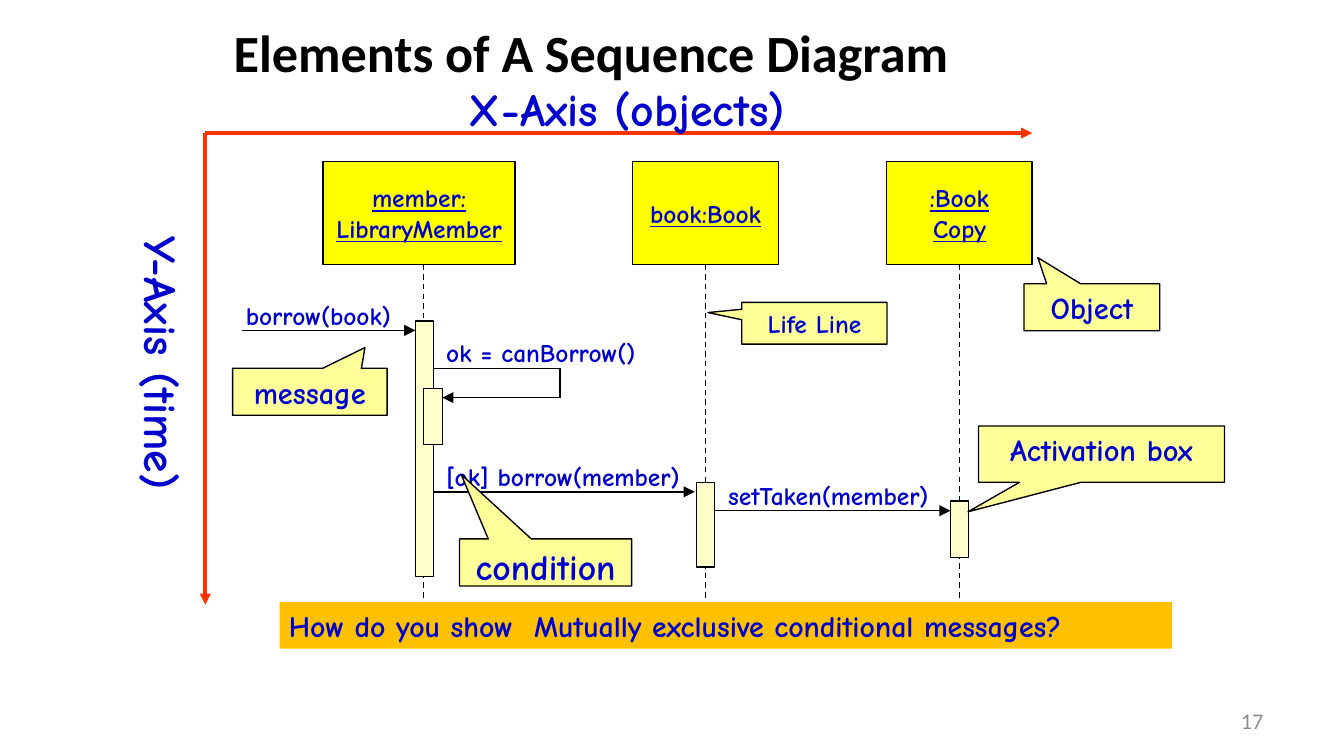
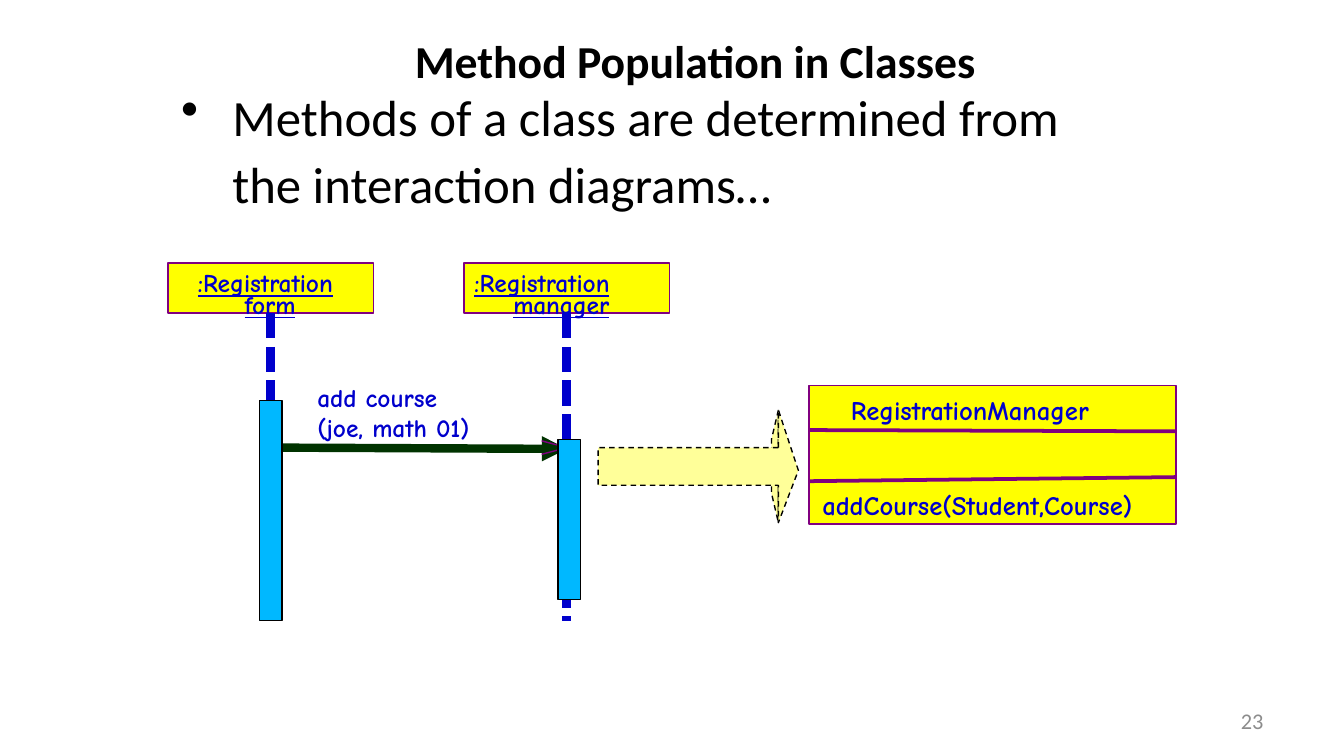
"""Builds two slides on sequence diagrams and the methods they lead to."""
from dataclasses import dataclass

from lxml.etree import SubElement
from pptx import Presentation
from pptx.dml.color import RGBColor
from pptx.enum.dml import MSO_LINE as Dash
from pptx.enum.shapes import MSO_CONNECTOR as Link, MSO_SHAPE as Shape
from pptx.enum.text import MSO_ANCHOR as Anchor, MSO_AUTO_SIZE as Fit, PP_ALIGN as Align
from pptx.oxml.ns import qn
from pptx.util import Pt


@dataclass(frozen=True)
class Theme:
    """Fonts, colours and type sizes of the deck."""
    plain: str = "Calibri"
    comic: str = "Comic Neue"
    black: str = "000000"
    ink: str = "0000CC"
    grey: str = "8C8C8C"
    yellow: str = "FFFF00"
    cream: str = "FFFFCC"
    note: str = "FFFF99"
    amber: str = "FFC000"
    sky: str = "00B8FF"
    red: str = "FF3300"
    purple: str = "800080"
    green: str = "003300"
    heading: float = 28
    body: float = 27.2
    axis: float = 24.5
    large: float = 19.1
    medium: float = 16.3
    question: float = 16
    member: float = 14.3
    small: float = 13.6
    page: float = 12


THEME = Theme()
NARROW = (5, 3)
NONE = (0, 0)


def write(shape, text, *, size=THEME.small, font=THEME.comic, color=THEME.ink, bold=True,
          underline=False, align=Align.LEFT, anchor=Anchor.TOP, inset=(7.2, 3.6),
          wrap=True, grow=False, spacing=None, bullet=None, indent=0):
    """Put text into a shape, one paragraph a line."""
    frame = shape.text_frame
    frame.word_wrap = wrap
    frame.auto_size = Fit.SHAPE_TO_FIT_TEXT if grow else Fit.NONE
    frame.vertical_anchor = anchor
    frame.margin_left = frame.margin_right = Pt(inset[0])
    frame.margin_top = frame.margin_bottom = Pt(inset[1])
    for number, words in enumerate(text.split("\n")):
        paragraph = frame.add_paragraph() if number else frame.paragraphs[0]
        paragraph.alignment = align
        if spacing:
            paragraph.line_spacing = spacing
        if bullet:
            properties = paragraph._p.get_or_add_pPr()
            properties.set("marL", str(Pt(indent)))
            properties.set("indent", str(-Pt(indent)))
            SubElement(properties, qn("a:buChar")).set("char", bullet)
        run = paragraph.add_run()
        run.text = words
        run.font.name, run.font.size = font, Pt(size)
        run.font.bold, run.font.underline = bold, underline
        run.font.color.rgb = RGBColor.from_string(color)


class Deck:
    """Holds the presentation, its theme and the current slide."""

    def __init__(self, theme):
        """Start a wide presentation."""
        self.theme = theme
        self.file = Presentation()
        self.file.slide_width, self.file.slide_height = Pt(720), Pt(405)
        self.slide = None

    def page(self, title, place, size, number):
        """Add a slide with its title and page number."""
        self.slide = self.file.slides.add_slide(self.file.slide_layouts[6])
        self.label(title, *place, size=size, font=self.theme.plain, color=self.theme.black,
                   align=Align.CENTER, anchor=Anchor.MIDDLE, wrap=True, grow=False)
        self.label(str(number), 516, 375, 168, 21.6, size=self.theme.page, bold=False,
                   font=self.theme.plain, color=self.theme.grey, align=Align.RIGHT,
                   anchor=Anchor.MIDDLE, wrap=True, grow=False)

    def label(self, text, left, top, width, height, **style):
        """Add a text box that fits its text unless told otherwise."""
        box = self.slide.shapes.add_textbox(Pt(left), Pt(top), Pt(width), Pt(height))
        write(box, text, **{"wrap": False, "grow": True, **style})
        return box

    def paint(self, shape, fill, edge, weight=0.75, dash=None):
        """Fill and outline a shape without a shadow."""
        shape.shadow.inherit = False
        shape.fill.solid()
        shape.fill.fore_color.rgb = RGBColor.from_string(fill)
        if edge is None:
            shape.line.fill.background()
            return
        shape.line.color.rgb = RGBColor.from_string(edge)
        shape.line.width = Pt(weight)
        shape.line.dash_style = dash

    def box(self, left, top, width, height, fill, edge=THEME.black, weight=0.75,
            kind=Shape.RECTANGLE):
        """Add a filled preset shape."""
        shape = self.slide.shapes.add_shape(kind, Pt(left), Pt(top), Pt(width), Pt(height))
        self.paint(shape, fill, edge, weight)
        return shape

    def callout(self, text, left, top, width, height, tip, size):
        """Add a note whose wedge points at the tip."""
        note = self.box(left, top, width, height, self.theme.note,
                        kind=Shape.RECTANGULAR_CALLOUT)
        note.adjustments[0] = (tip[0] - left) / width - 0.5
        note.adjustments[1] = (tip[1] - top) / height - 0.5
        write(note, text, size=size, align=Align.CENTER, inset=NARROW)

    def line(self, start, end, color=THEME.black, weight=0.75, dash=None, arrow=False):
        """Add a straight connector, with a head at its end if asked."""
        link = self.slide.shapes.add_connector(Link.STRAIGHT, *map(Pt, start + end))
        link.line.color.rgb = RGBColor.from_string(color)
        link.line.width = Pt(weight)
        link.line.dash_style = dash
        properties = link.element.spPr
        if arrow:
            SubElement(properties.find(qn("a:ln")), qn("a:tailEnd")).set("type", "triangle")
        SubElement(properties, qn("a:effectLst"))
        return link

    def outline(self, points, fill, dash):
        """Add a closed freeform through the points."""
        first, *others = [(Pt(x), Pt(y)) for x, y in points]
        builder = self.slide.shapes.build_freeform(*first)
        builder.add_line_segments(others, close=True)
        self.paint(builder.convert_to_shape(), fill, self.theme.black, dash=dash)

    def message(self, text, start, end, y, width, shift=0, arrow=True):
        """Add a message line with its words above it."""
        self.line((start, y), (end, y), arrow=arrow)
        self.label(text, start + shift, y - 20, width, 24)


def sequence_elements(deck):
    """Show the parts of a sequence diagram."""
    theme = deck.theme
    deck.page("Elements of A Sequence Diagram", (24, -6, 585, 67), theme.heading, 17)
    time_axis = deck.label("Y-Axis (time)", 67, 124, 40, 168.5, size=theme.axis, inset=NARROW)
    time_axis.text_frame._txBody.bodyPr.set("vert", "eaVert")

    for name, left, width, center in (("member:\nLibraryMember", 173, 103, 226.8),
                                      ("book:Book", 339, 78, 378),
                                      (":Book\nCopy", 475, 78, 514)):
        participant = deck.box(left, 86.4, width, 55.4, theme.yellow)
        write(participant, name, underline=True, align=Align.CENTER, anchor=Anchor.MIDDLE,
              inset=NARROW, wrap=False)
        lifeline = deck.line((center, 141.8), (center, 334), dash=Dash.DASH)
        if center == left + width / 2:
            lifeline.begin_connect(participant, 2)

    for left, top, height in ((222.5, 172, 137), (373.2, 258.5, 45.4), (509.2, 268.5, 30.4)):
        deck.box(left, top, 9.6, height, theme.cream)

    deck.message("borrow(book)", 129.6, 222.5, 177, 99.4, shift=-5)
    deck.message("ok = canBorrow()", 232, 300, 197.3, 126.7, arrow=False)
    deck.line((300, 197.3), (300, 213))
    deck.line((300, 213), (237, 213), arrow=True)
    deck.box(227, 208, 10, 30.2, theme.cream)
    deck.message("[ok] borrow(member)", 232, 372.2, 263.5, 152.6)
    deck.message("setTaken(member)", 383, 509.2, 273.6, 136.8)

    deck.line((110, 71.3), (553, 71.3), theme.red, 1.75, arrow=True)
    deck.line((110, 71.3), (110, 324), theme.red, 2, arrow=True)
    deck.label("X-Axis (objects)", 246.2, 40.3, 212.4, 35.3, size=theme.axis, inset=NARROW)

    for text, left, top, width, height, tip, size in (
            ("Object", 548.6, 152, 72.7, 25.2, (556, 138), theme.medium),
            ("Life Line", 397.4, 162, 77.8, 22.4, (379.3, 167.5), theme.small),
            ("message", 124.6, 197.3, 82.8, 25.2, (195.5, 186.2), theme.medium),
            ("Activation box", 524.2, 228.2, 131.8, 30.2, (518.6, 274.2), theme.medium),
            ("condition", 246.2, 288.7, 92.2, 25.2, (247.1, 254.2), theme.large)):
        deck.callout(text, left, top, width, height, tip, size)

    question = deck.box(149.8, 322.6, 478, 25, theme.amber, edge=None)
    write(question, "How do you show  Mutually exclusive conditional messages?",
          size=theme.question, inset=NARROW)


def method_population(deck):
    """Show how a message becomes a method of a class."""
    theme = deck.theme
    deck.page("Method Population in Classes", (180, 14.4, 385, 35.3), theme.axis, 23)
    deck.label("Methods of a class are determined from the interaction diagrams…",
               90, 39, 526, 318, size=theme.body, font=theme.plain, color=theme.black,
               bold=False, wrap=True, grow=False, spacing=1.1, bullet="•", indent=27.4)

    lifelines = []
    for left, kind_left, role, role_left, role_width in (
            (90, 106, "form", 131, 32), (248.5, 254.2, "manager", 275, 55)):
        participant = deck.box(left, 141, 110, 26.8, theme.yellow, theme.purple, 0)
        for text, x, y, width in ((":Registration", kind_left, 143.3, 92),
                                  (role, role_left, 154.8, role_width)):
            deck.label(text, x, y, width, 16.6, underline=True, inset=NONE)
        center = left + 55
        lifeline = deck.line((center, 167.8), (center, 332.6), theme.ink, 4.5, Dash.SQUARE_DOT)
        lifeline.begin_connect(participant, 2)
        lifelines.append(lifeline)

    deck.line((145, 239.8), (303.8, 240.5), theme.green, 4.5, arrow=True)
    for barb in (243.4, 236.2):
        deck.line((303.8, 239.8), (290.2, barb), theme.purple)
    deck.label("add course\n(joe, math 01)", 170, 204.5, 98, 33, inset=NONE)

    tail, neck, tip = 320.4, 417, 427.7
    top, upper, middle, lower, bottom = 219.6, 239.8, 252, 260, 280
    deck.outline([(neck, top), (neck, bottom), (413.3, 264.2), (413.3, 235.4)],
                 theme.note, Dash.DASH)
    deck.outline([(neck, upper), (neck, top), (tip, middle), (neck, bottom), (neck, lower),
                  (tail, lower), (tail, upper)], theme.note, Dash.DASH)

    deck.box(433.5, 206.6, 196.5, 74.2, theme.yellow, theme.purple, 0)
    deck.label("RegistrationManager", 455.8, 211, 143.3, 17.3, size=theme.member, inset=NONE)
    for start, end in ((230.4, 231.1), (257.8, 255.6)):
        deck.line((433.5, start), (630, end), theme.purple, 0)
    deck.label("addCourse(Student,Course)", 440.6, 262, 189.4, 17.3, size=theme.member,
               inset=NONE)

    deck.box(299, 235.4, 12, 85.7, theme.sky)
    form_activation = deck.box(139, 214.6, 12, 118, theme.sky)
    lifelines[0].end_connect(form_activation, 2)


def main():
    """Build the slides and save them."""
    deck = Deck(THEME)
    sequence_elements(deck)
    method_population(deck)
    deck.file.save("out.pptx")


if __name__ == "__main__":
    main()
